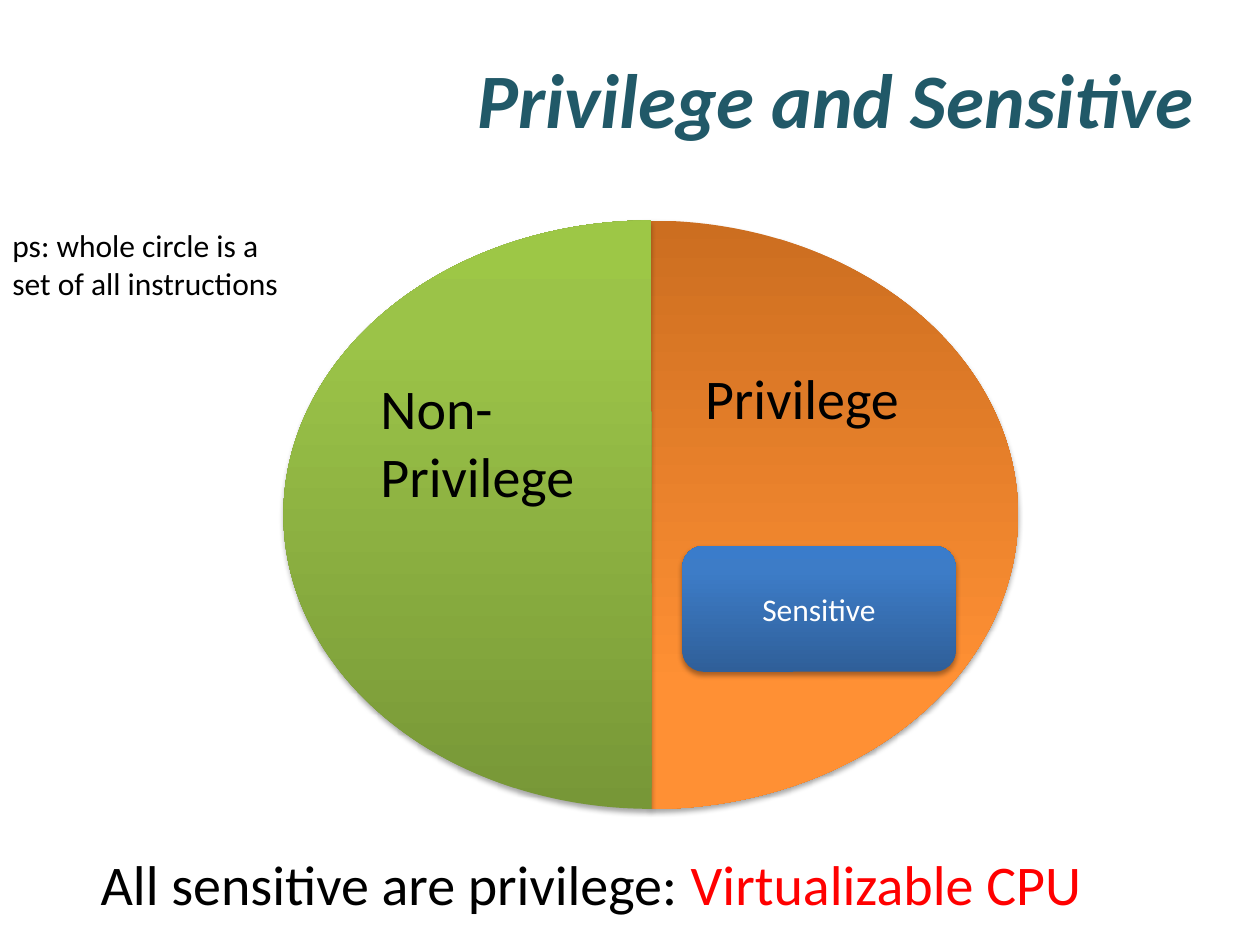
from lxml import etree
from pptx import Presentation
from pptx import util as u
from pptx.dml.color import RGBColor
from pptx.enum import shapes, text
from pptx.oxml.ns import qn

COLORS = {"title": "215968", "ink": "000000", "accent": "FF0000", "label": "FFFFFF"}
GRADIENTS = {
    "orange": ("CC6E20", "FF9034", "FF9136"),
    "green": ("779737", "9BC348", "9DC746"),
    "blue": ("2F5F99", "3D7CC7", "3A7CCB"),
}
STOPS = (0, 80, 100)
WIDTH, HEIGHT = 10, 7.5
FONT = "Calibri"


def within(box, left, top, width, height):
    x, y, w, h = box
    return x + w * left, y + h * top, w * width, h * height


def inches(box):
    return [u.Inches(value) for value in box]


def add_color(parent, color):
    return etree.SubElement(parent, qn("a:srgbClr"), val=color)


def style_shape(shape, gradient):
    shape.fill.gradient()
    shape.fill.gradient_angle = 90
    stops = shape._element.spPr.find(".//" + qn("a:gsLst"))
    for stop in list(stops):
        stops.remove(stop)
    for position, color in zip(STOPS, GRADIENTS[gradient]):
        add_color(etree.SubElement(stops, qn("a:gs"), pos=str(position * 1000)), color)
    shape.line.fill.background()
    shape.shadow.inherit = False
    shadow = etree.SubElement(
        shape._element.spPr.find(qn("a:effectLst")), qn("a:outerShdw"),
        blurRad=str(u.Pt(3.1)), dist=str(u.Pt(1.8)), dir="5400000", rotWithShape="0")
    etree.SubElement(add_color(shadow, COLORS["ink"]), qn("a:alpha"), val="35000")


def write(shape, spans, size, align=text.PP_ALIGN.LEFT, anchor=text.MSO_ANCHOR.TOP):
    frame = shape.text_frame
    frame.word_wrap = True
    frame.vertical_anchor = anchor
    para = frame.paragraphs[0]
    para.alignment = align
    para.font.name = FONT
    para.font.size = u.Pt(size)
    for words, color in spans:
        span = para.add_run()
        span.text = words
        span.font.color.rgb = RGBColor.from_string(COLORS[color])
    return para


def add_text(page, box, spans, size, **layout):
    return write(page.shapes.add_textbox(*inches(box)), spans, size, **layout)


def add_title(page, box):
    para = add_text(page, box, [("Privilege and Sensitive", "title")], 44,
                    align=text.PP_ALIGN.RIGHT, anchor=text.MSO_ANCHOR.MIDDLE)
    para.font.bold = True
    para.font.italic = True


def add_half(page, box, gradient, rotation):
    half = page.shapes.add_shape(shapes.MSO_SHAPE.CHORD, *inches(box))
    half.adjustments[0] = 53.9
    half.adjustments[1] = 162
    half.rotation = rotation
    style_shape(half, gradient)


def add_instruction_set(page, box):
    add_half(page, box, "orange", 180)
    add_half(page, box, "green", 0)
    add_text(page, within(box, 0.115, 0.25, 0.343, 0.25), [("Non-Privilege", "ink")], 32)
    add_text(page, within(box, 0.557, 0.232, 0.343, 0.137), [("Privilege", "ink")], 32)
    sensitive = page.shapes.add_shape(
        shapes.MSO_SHAPE.ROUNDED_RECTANGLE, *inches(within(box, 0.543, 0.553, 0.372, 0.214)))
    style_shape(sensitive, "blue")
    write(sensitive, [("Sensitive", "label")], 18,
          align=text.PP_ALIGN.CENTER, anchor=text.MSO_ANCHOR.MIDDLE)


def main():
    deck = Presentation()
    deck.slide_width, deck.slide_height = u.Inches(WIDTH), u.Inches(HEIGHT)
    page = deck.slides.add_slide(deck.slide_layouts[6])
    whole = (0, 0, WIDTH, HEIGHT)
    add_title(page, within(whole, 0.058, 0.04, 0.9, 0.127))
    add_text(page, within(whole, 0, 0.233, 0.25, 0.095),
             [("ps: whole circle is a set of all instructions", "ink")], 18)
    add_instruction_set(page, (2.25, 1.75, 5.83, 4.67))
    add_text(page, within(whole, 0.07, 0.892, 0.889, 0.085),
             [("All sensitive are privilege: ", "ink"), ("Virtualizable CPU", "accent")], 32)
    deck.save("out.pptx")


if __name__ == "__main__":
    main()
